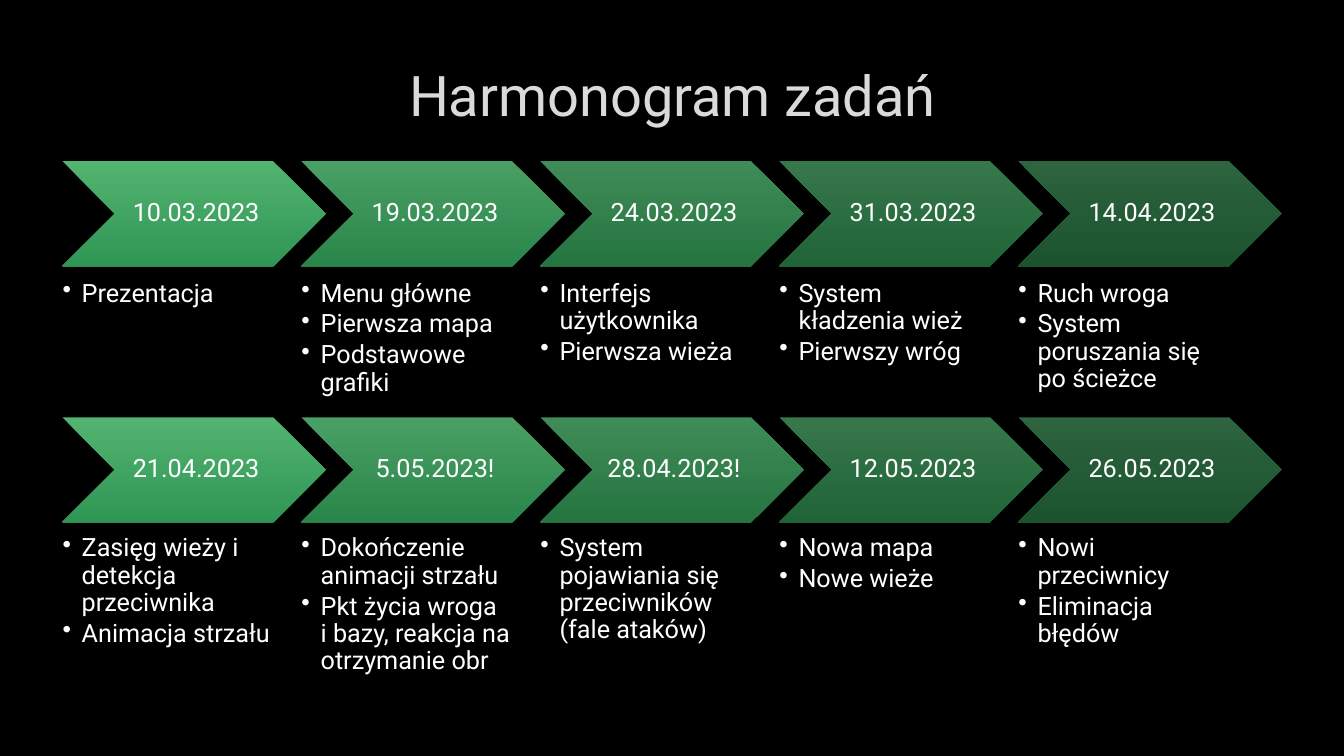
from lxml.etree import SubElement
from pptx import Presentation
from pptx.dml.color import RGBColor
from pptx.enum.shapes import MSO_SHAPE
from pptx.enum.text import MSO_ANCHOR, PP_ALIGN
from pptx.oxml.ns import qn
from pptx.util import Inches, Pt

LEFT, PITCH = 0.62, 2.37
ROWS = [
    (1.6, 2.78, 1.22, [
        ("10.03.2023", ["Prezentacja"]),
        ("19.03.2023", ["Menu główne", "Pierwsza mapa", "Podstawowe grafiki"]),
        ("24.03.2023", ["Interfejs użytkownika", "Pierwsza wieża"]),
        ("31.03.2023", ["System kładzenia wież", "Pierwszy wróg"]),
        ("14.04.2023", ["Ruch wroga", "System poruszania się po ścieżce"]),
    ]),
    (4.14, 5.31, 1.4, [
        ("21.04.2023", ["Zasięg wieży i detekcja przeciwnika", "Animacja strzału"]),
        ("5.05.2023!", ["Dokończenie animacji strzału",
                        "Pkt życia wroga \ni bazy, reakcja na otrzymanie obr"]),
        ("28.04.2023!", ["System pojawiania się przeciwników\n(fale ataków)"]),
        ("12.05.2023", ["Nowa mapa", "Nowe wieże"]),
        ("26.05.2023", ["Nowi przeciwnicy", "Eliminacja błędów"]),
    ]),
]


def paint(fill, color):
    """Set a solid fill from a hex string."""
    fill.solid()
    fill.fore_color.rgb = RGBColor.from_string(color)


def style(par, size, color, **form):
    """Format a paragraph and its font."""
    for name, value in form.items():
        setattr(par, name, value)
    for name, value in {"name": "Roboto", "size": Pt(size)}.items():
        setattr(par.font, name, value)
    paint(par.font.fill, color)


def add_title(slide, text):
    """Place and format the slide title."""
    title = slide.shapes.title
    box = {"left": 1.01, "top": 0.4, "width": 11.32, "height": 1.06}
    for name, value in box.items():
        setattr(title, name, Inches(value))
    title.text_frame.text = text
    title.text_frame.vertical_anchor = MSO_ANCHOR.MIDDLE
    style(title.text_frame.paragraphs[0], 40, "DADADA", alignment=PP_ALIGN.CENTER)


def add_arrow(shapes, left, top, alpha):
    """Draw a chevron with a translucent green gradient."""
    arrow = shapes.add_shape(MSO_SHAPE.CHEVRON, Inches(left), Inches(top),
                             Inches(2.61), Inches(1.04))
    arrow.shadow.inherit = False
    arrow.line.fill.background()
    arrow.fill.gradient()
    arrow.fill.gradient_angle = 270
    for stop, color, place in zip(arrow.fill.gradient_stops, ("5CC87E", "35A75D"), (0, 1)):
        stop.color.rgb = RGBColor.from_string(color)
        stop.position = place
    for node in arrow.element.spPr.iter(qn("a:srgbClr")):
        SubElement(node, qn("a:alpha"), val=str(alpha * 1000))


def add_text(shapes, box, pads):
    """Add a wrapping text box and return its frame."""
    frame = shapes.add_textbox(*map(Inches, box)).text_frame
    frame.word_wrap = True
    for side, pad in zip(("left", "top", "right", "bottom"), pads):
        setattr(frame, f"margin_{side}", Inches(pad))
    return frame


def add_date(shapes, left, top, date):
    """Write a date over its chevron."""
    frame = add_text(shapes, (left + 0.52, top, 1.56, 1.04), (0.08, 0.03, 0.03, 0.03))
    frame.vertical_anchor = MSO_ANCHOR.MIDDLE
    frame.text = date
    style(frame.paragraphs[0], 18, "FFFFFF", alignment=PP_ALIGN.CENTER, line_spacing=0.9)


def add_tasks(shapes, left, top, height, tasks):
    """List the tasks as bullets below a chevron."""
    frame = add_text(shapes, (left, top, 2.09, height), (0, 0, 0, 0))
    for index, task in enumerate(tasks):
        par = frame.add_paragraph() if index else frame.paragraphs[0]
        par.text = task
        for run in par.runs:
            style(run, 18, "FFFFFF")
        style(par, 18, "FFFFFF", level=1, line_spacing=0.9, space_after=Pt(2.7))
        props = par._p.get_or_add_pPr()
        props.set("marL", str(Inches(0.19)))
        props.set("indent", str(Inches(-0.19)))
        bullet = props.makeelement(qn("a:buChar"), {"char": "•"})
        props.insert_element_before(bullet, "a:tabLst", "a:defRPr", "a:extLst")


def add_row(slide, top, low, height, steps):
    """Build one grouped row of the schedule."""
    shapes = slide.shapes.add_group_shape().shapes
    for index, (date, tasks) in enumerate(steps):
        left = LEFT + index * PITCH
        add_arrow(shapes, left, top, 90 - 10 * index)
        add_date(shapes, left, top, date)
        add_tasks(shapes, left, low, height, tasks)


def main():
    """Build the schedule slide."""
    deck = Presentation()
    deck.slide_width, deck.slide_height = Inches(13.33), Inches(7.5)
    slide = deck.slides.add_slide(deck.slide_layouts[5])
    paint(slide.background.fill, "000000")
    add_title(slide, "Harmonogram zadań")
    for row in ROWS:
        add_row(slide, *row)
    deck.save("out.pptx")


if __name__ == "__main__":
    main()
